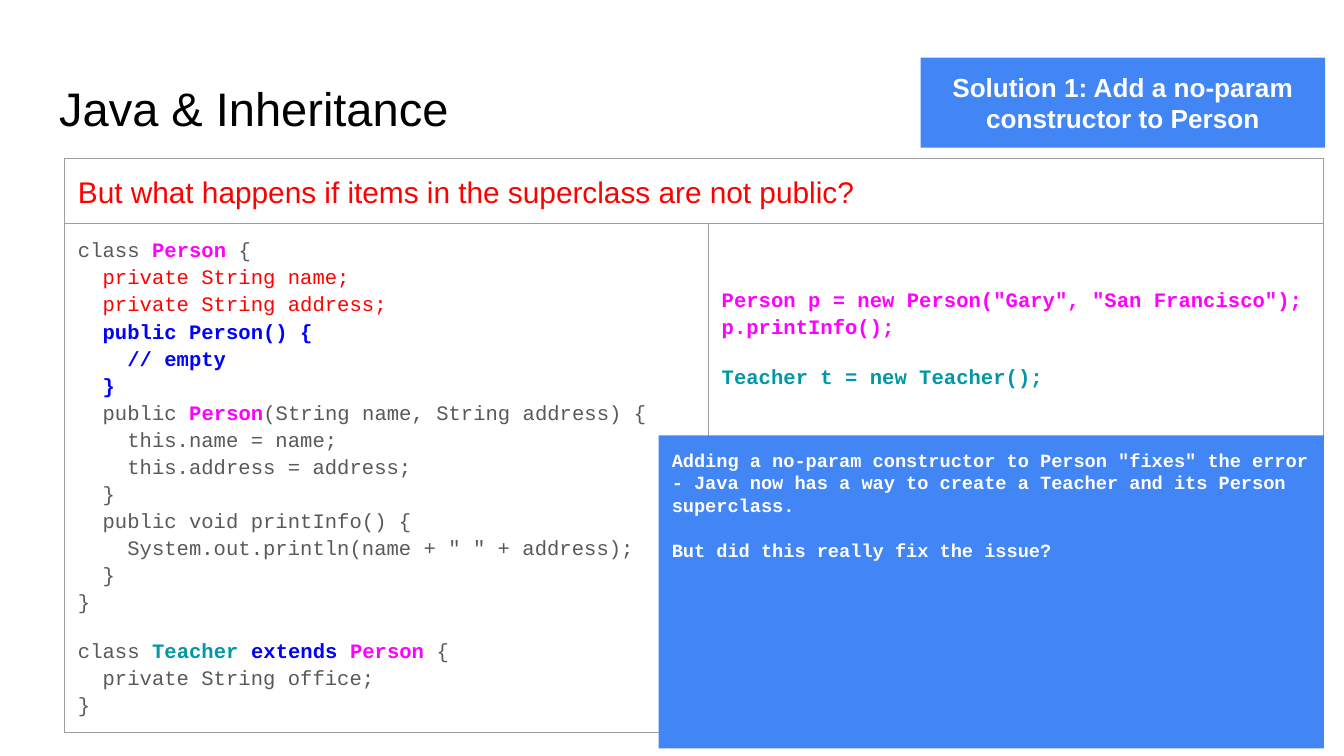
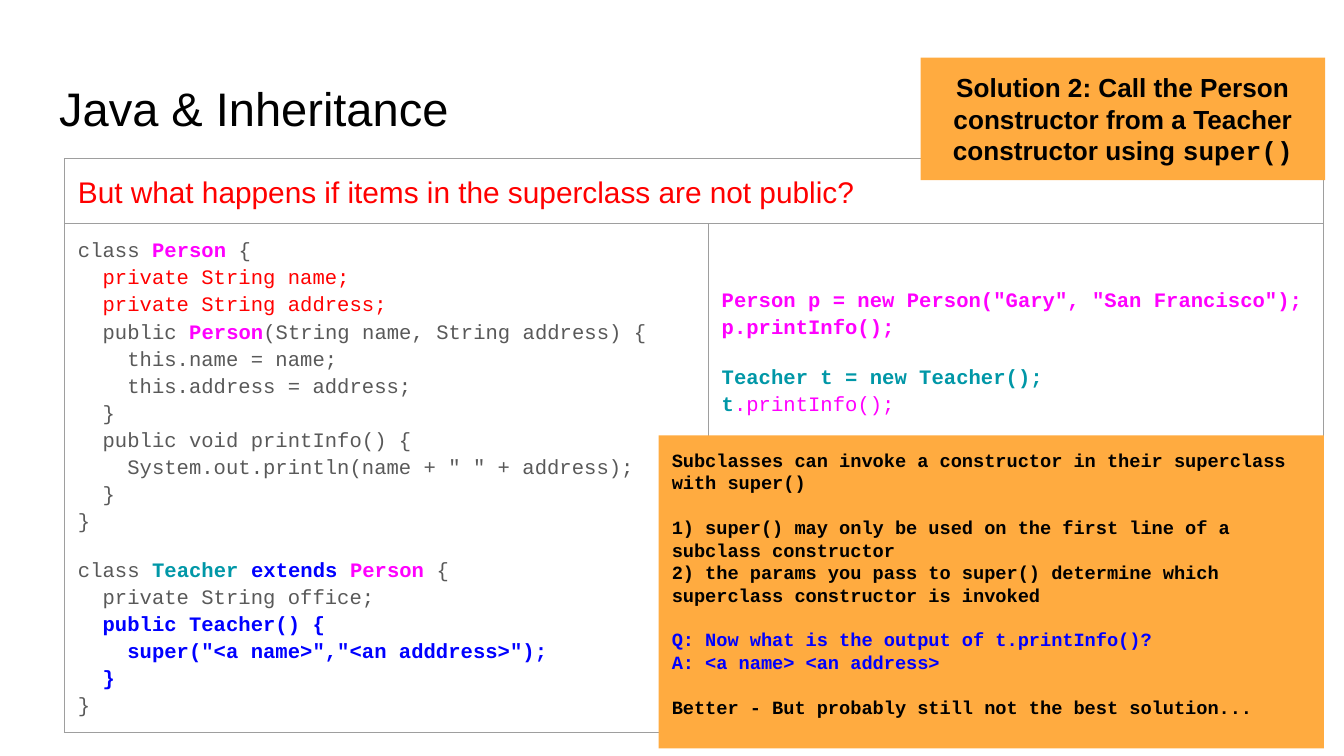
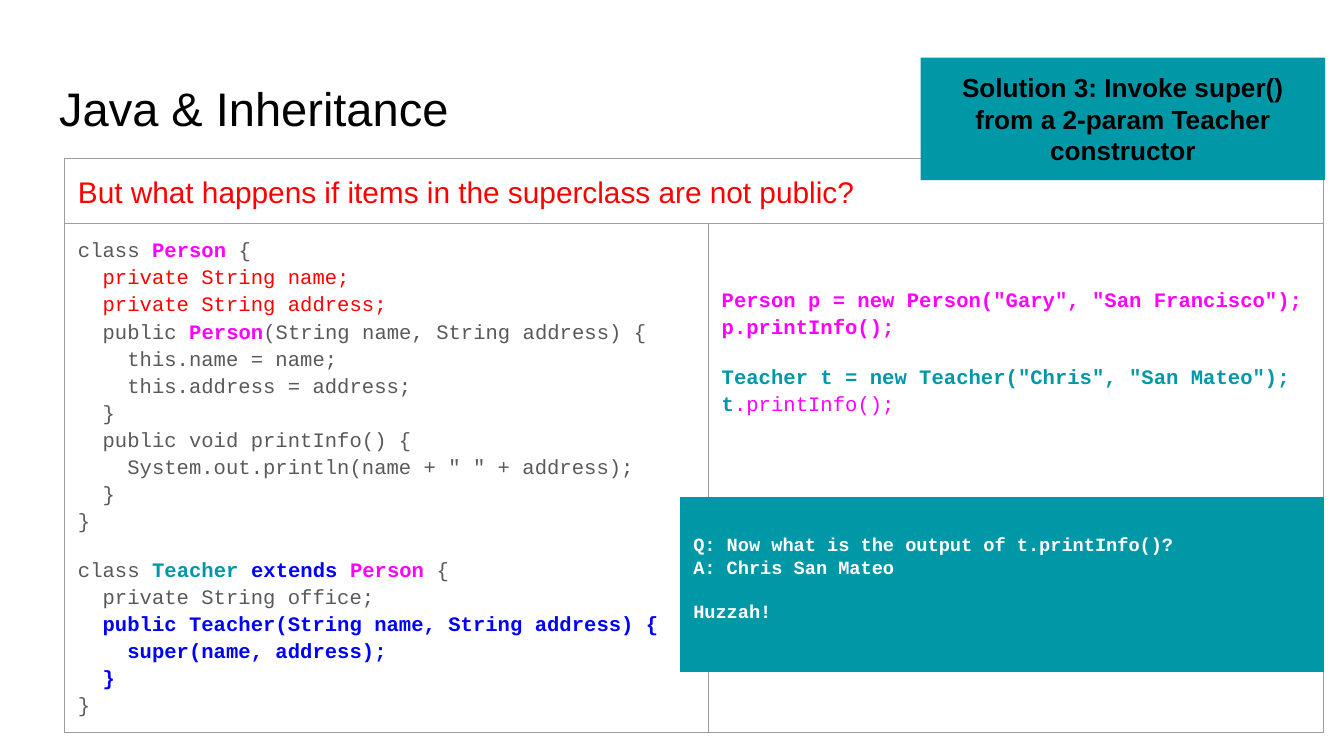
from lxml import etree
from pptx import Presentation
from pptx.dml.color import RGBColor
from pptx.enum.shapes import MSO_SHAPE
from pptx.enum.text import MSO_ANCHOR, PP_ALIGN
from pptx.oxml.ns import qn
from pptx.util import Inches, Pt

RECTANGLE = MSO_SHAPE.RECTANGLE
TOP, MIDDLE = MSO_ANCHOR.TOP, MSO_ANCHOR.MIDDLE
LEFT, CENTER = PP_ALIGN.LEFT, PP_ALIGN.CENTER

COLORS = {
    "black": "000000", "white": "FFFFFF", "gray": "595959", "border": "9E9E9E",
    "red": "FF0000", "magenta": "FF00FF", "blue": "0000FF",
    "teal": "0097A7", "sky": "4285F4", "orange": "FFAB40",
}
TEXT_FONT, CODE_FONT = "Arial", "Courier New"
MARGIN = Inches(0.1)
BLANK_LINE = Pt(12)

presentation = Presentation()
presentation.slide_width = Inches(10)
presentation.slide_height = Inches(5.625)


def box(left, top, width, height):
    """Turn percentages of the slide into left, top, width and height."""
    across, down = presentation.slide_width, presentation.slide_height
    return [round(share * side / 100) for share, side in
            zip((left, top, width, height), (across, down, across, down))]


def write(text_frame, paragraphs, font, size, align=LEFT, spacing=1.0, gap=0):
    """Write paragraphs of (text, color, bold[, font]) pieces; None asks for a gap."""
    text_frame.word_wrap = True
    paragraph, gap_before = None, False
    for pieces in paragraphs:
        if pieces is None:
            gap_before = True
            continue
        paragraph = text_frame.add_paragraph() if paragraph else text_frame.paragraphs[0]
        paragraph.alignment = align
        paragraph.line_spacing = spacing
        paragraph.space_before = gap if gap_before else 0
        paragraph.font.name, paragraph.font.size = font, Pt(size)
        gap_before = False
        for text, color, bold, *own_font in pieces:
            for index, line in enumerate(text.split("\n")):
                if index:
                    paragraph.add_line_break()
                if line:
                    run = paragraph.add_run()
                    run.text = line
                    run.font.bold = bold
                    run.font.color.rgb = RGBColor.from_string(COLORS[color])
                    if own_font:
                        run.font.name = own_font[0]


# Code shared by the slides
PERSON_START = [
    ("class ", "gray", False), ("Person", "magenta", True), (" {\n", "gray", False),
    ("  private String name;\n  private String address;\n", "red", False),
]
PERSON_END = [
    ("  public ", "gray", False), ("Person", "magenta", True),
    ("(String name, String address) {\n    this.name = name;\n"
     "    this.address = address;\n  }\n  public void printInfo() {\n"
     '    System.out.println(name + " " + address);\n  }\n}', "gray", False),
]
TEACHER_START = [
    ("class ", "gray", False), ("Teacher ", "teal", True), ("extends ", "blue", True),
    ("Person", "magenta", True), (" {\n  private String office;\n", "gray", False),
]
PERSON_USE = [('Person p = new Person("Gary", "San Francisco");\np.printInfo();',
               "magenta", True)]
PRINT_TEACHER = [("\nt", "teal", True), (".printInfo();", "magenta", False)]

# What differs from slide to slide
solutions = [
    {
        "fill": "sky",
        "label": [("Solution 1: Add a no-param constructor to Person", "white", True)],
        "label_height": 11.91,
        "person_extra": [("  public Person() {\n    // empty\n  }\n", "blue", True)],
        "teacher_extra": [],
        "teacher_use": [("Teacher t = new Teacher();", "teal", True)],
        "note_box": (49, 57.6, 49.5, 41.42),
        "note_margin": MARGIN,
        "note": [
            [('Adding a no-param constructor to Person "fixes" the error - Java now has '
              "a way to create a Teacher and its Person superclass.", "white", True)],
            None,
            [("But did this really fix the issue?", "white", True)],
        ],
    },
    {
        "fill": "orange",
        "label": [("Solution 2: Call the Person constructor from a Teacher constructor "
                   "using ", "black", True), ("super()", "black", True, CODE_FONT)],
        "label_height": 16.18,
        "person_extra": [],
        "teacher_extra": [('  public Teacher() {\n    super("<a name>","<an adddress>");'
                           "\n  }\n", "blue", True)],
        "teacher_use": [("Teacher t = new Teacher();", "teal", True)] + PRINT_TEACHER,
        "note_box": (49, 57.6, 49.5, 41.42),
        "note_margin": MARGIN,
        "note": [
            [("Subclasses can invoke a constructor in their superclass with super()",
              "black", True)],
            None,
            [("1) super() may only be used on the first line of a subclass constructor",
              "black", True)],
            [("2) the params you pass to super() determine which superclass constructor "
              "is invoked", "black", True)],
            None,
            [("Q: Now what is the output of t.printInfo()?\nA: <a name> <an address>",
              "blue", True)],
            None,
            [("Better - But probably still not the best solution...", "black", True)],
        ],
    },
    {
        "fill": "teal",
        "label": [("Solution 3: Invoke super() from a 2-param Teacher constructor",
                   "black", True)],
        "label_height": 16.18,
        "person_extra": [],
        "teacher_extra": [("  public Teacher(String name, String address) {\n"
                           "    super(name, address);\n  }\n", "blue", True)],
        "teacher_use": [('Teacher t = new Teacher("Chris", "San Mateo");', "teal", True)]
        + PRINT_TEACHER,
        "note_box": (50.6, 65.78, 47.9, 23.11),
        "note_margin": MARGIN + BLANK_LINE,
        "note": [
            [("Q: Now what is the output of t.printInfo()?\nA: Chris San Mateo",
              "white", True)],
            None,
            [("Huzzah!", "white", True)],
        ],
    },
]

# Title position, set once on the layout
layout = presentation.slide_layouts[5]
layout_title = next(shape for shape in layout.placeholders
                    if shape.placeholder_format.idx == 0)
(layout_title.left, layout_title.top,
 layout_title.width, layout_title.height) = box(3.4, 8.71, 93.2, 11.2)

for solution in solutions:
    slide = presentation.slides.add_slide(layout)

    # Title
    title_frame = slide.shapes.title.text_frame
    title_frame.vertical_anchor = MIDDLE
    title_frame.margin_left = title_frame.margin_right = MARGIN
    write(title_frame, [[("Java & Inheritance", "black", False)]], TEXT_FONT, 25.2)

    # Table: question above, classes on the left, their use on the right
    table_box = box(4.8, 20.98, 93.7, 75.9)
    table = slide.shapes.add_table(2, 2, *table_box).table
    table.first_row = table.horz_banding = False
    table.columns[0].width, table.columns[1].width = box(47.9, 0, 45.8, 0)[::2]
    table.rows[0].height, table.rows[1].height = box(0, 8.55, 0, 67.35)[1::2]
    for cell in table.iter_cells():
        cell.margin_left = cell.margin_right = MARGIN
        cell.margin_top = cell.margin_bottom = MARGIN
        cell.vertical_anchor = TOP
        properties = cell._tc.get_or_add_tcPr()
        for side in ("a:lnL", "a:lnR", "a:lnT", "a:lnB"):
            line = etree.SubElement(properties, qn(side), w=str(Pt(0.75)))
            solid = etree.SubElement(line, qn("a:solidFill"))
            etree.SubElement(solid, qn("a:srgbClr"), val=COLORS["border"])
        cell.fill.background()
    table.cell(0, 0).merge(table.cell(0, 1))

    question = [("But what happens if items in the superclass are not public?",
                 "red", False)]
    person = PERSON_START + solution["person_extra"] + PERSON_END
    teacher = TEACHER_START + solution["teacher_extra"] + [("}", "gray", False)]
    write(table.cell(0, 0).text_frame, [question], TEXT_FONT, 16, spacing=1.15)
    write(table.cell(1, 0).text_frame, [person, None, teacher],
          CODE_FONT, 11, spacing=1.15, gap=Pt(12))
    table.cell(1, 1).margin_top = Inches(0.47)
    write(table.cell(1, 1).text_frame, [PERSON_USE, None, solution["teacher_use"]],
          CODE_FONT, 11, spacing=1.15, gap=Pt(12))

    # Solution label and explanation
    label_box = (68.5, 7.64, 30.1, solution["label_height"])
    for place, paragraphs, font, size, align, anchor, margin_top in (
        (label_box, [solution["label"]], TEXT_FONT, 14, CENTER, MIDDLE, MARGIN),
        (solution["note_box"], solution["note"], CODE_FONT, 10, LEFT, TOP,
         solution["note_margin"]),
    ):
        panel = slide.shapes.add_shape(RECTANGLE, *box(*place))
        panel.shadow.inherit = False
        panel.fill.solid()
        panel.fill.fore_color.rgb = RGBColor.from_string(COLORS[solution["fill"]])
        panel.line.fill.background()
        frame = panel.text_frame
        frame.vertical_anchor = anchor
        frame.margin_left = frame.margin_right = frame.margin_bottom = MARGIN
        frame.margin_top = margin_top
        write(frame, paragraphs, font, size, align, gap=BLANK_LINE)

presentation.save("out.pptx")
